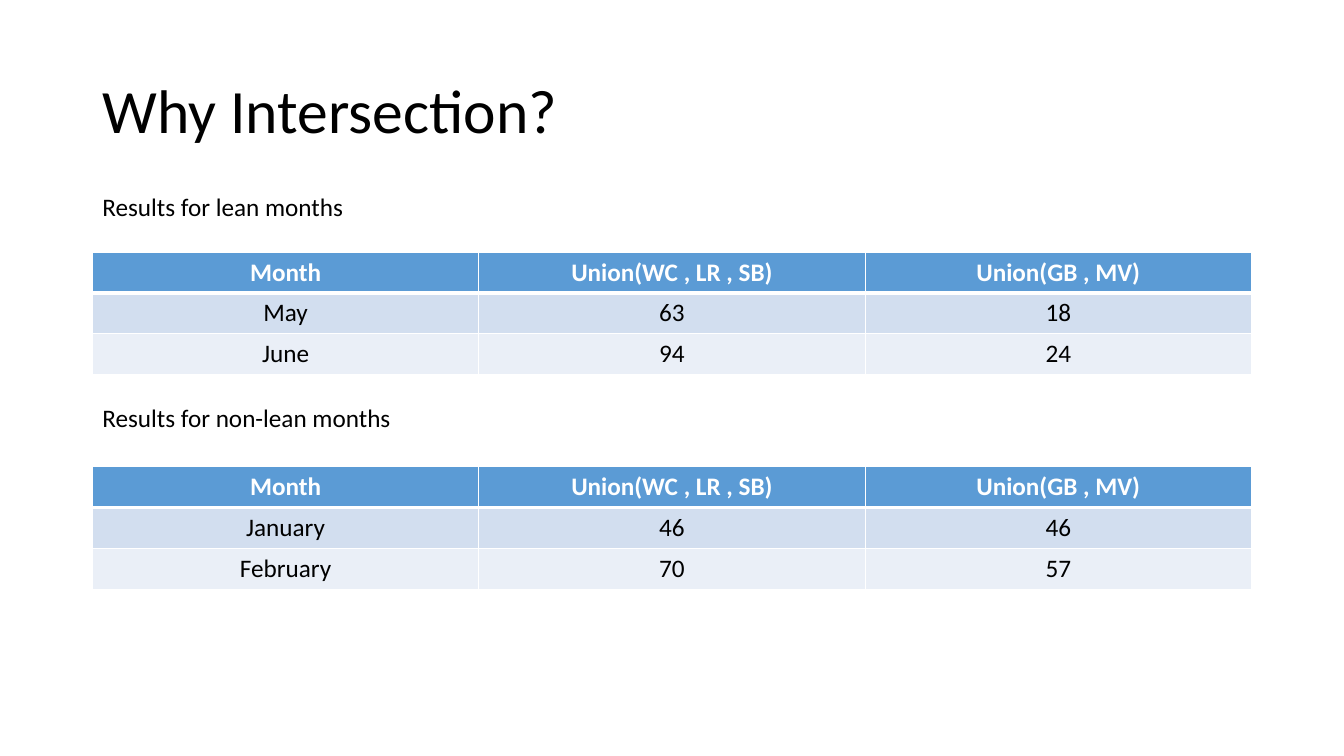
from dataclasses import dataclass

from lxml.etree import SubElement
from pptx import Presentation
from pptx.dml.color import RGBColor
from pptx.enum.text import MSO_ANCHOR, PP_ALIGN
from pptx.oxml.ns import qn
from pptx.util import Cm, Pt

TITLE = "Why Intersection?"
HEADER = ("Month", "Union(WC , LR , SB)", "Union(GB , MV)")
SECTIONS = [
    {"label": "Results for lean months", "label_top": 4.69, "table_top": 6.35,
     "rows": [("May", "63", "18"), ("June", "94", "24")]},
    {"label": "Results for non-lean months", "label_top": 10.01, "table_top": 11.76,
     "rows": [("January", "46", "46"), ("February", "70", "57")]},
]
LEFT, WIDTH, LABEL_WIDTH = 2.33, 29.21, 24.23
ROW_HEIGHT, LABEL_HEIGHT = 1.03, 1.03


@dataclass(frozen=True)
class Theme:
    font: str = "Calibri"
    ink: str = "000000"
    white: str = "FFFFFF"
    header: str = "5B9BD5"
    bands: tuple = ("D2DEEF", "EAEFF7")
    title_size: int = 44
    text_size: int = 18
    thin: int = 1
    thick: int = 3


THEME = Theme()


def write(frame, text, size=THEME.text_size, color=THEME.ink, bold=False,
          align=PP_ALIGN.LEFT, line_spacing=1.0):
    para = frame.paragraphs[0]
    for name, value in {"alignment": align, "line_spacing": line_spacing}.items():
        setattr(para, name, value)
    span = para.add_run()
    span.text = text
    for name, value in {"name": THEME.font, "size": Pt(size), "bold": bold}.items():
        setattr(span.font, name, value)
    span.font.color.rgb = RGBColor.from_string(color)


def add_borders(cell, top, bottom):
    properties = cell._tc.get_or_add_tcPr()
    widths = {"a:lnL": THEME.thin, "a:lnR": THEME.thin, "a:lnT": top, "a:lnB": bottom}
    for tag, width in widths.items():
        line = SubElement(properties, qn(tag), w=str(Pt(width)))
        fill = SubElement(line, qn("a:solidFill"))
        SubElement(fill, qn("a:srgbClr"), val=THEME.white)


def add_title(page):
    title = page.shapes.title
    place = {"left": LEFT, "top": 1.01, "width": WIDTH, "height": 3.68}
    for name, value in place.items():
        setattr(title, name, Cm(value))
    title.text_frame.vertical_anchor = MSO_ANCHOR.MIDDLE
    write(title.text_frame, TITLE, THEME.title_size, line_spacing=0.9)


def add_label(page, text, top):
    box = page.shapes.add_textbox(Cm(LEFT), Cm(top), Cm(LABEL_WIDTH), Cm(LABEL_HEIGHT))
    box.text_frame.word_wrap = True
    write(box.text_frame, text)


def add_results(page, rows, top):
    lines = [HEADER, *rows]
    table = page.shapes.add_table(len(lines), len(HEADER), Cm(LEFT), Cm(top), Cm(WIDTH),
                                  Cm(ROW_HEIGHT * len(lines))).table
    for index, values in enumerate(lines):
        is_header = index == 0
        fill = THEME.header if is_header else THEME.bands[(index - 1) % 2]
        for column, text in enumerate(values):
            cell = table.cell(index, column)
            add_borders(cell, THEME.thick if index == 1 else THEME.thin,
                        THEME.thick if is_header else THEME.thin)
            cell.fill.solid()
            cell.fill.fore_color.rgb = RGBColor.from_string(fill)
            write(cell.text_frame, text, color=THEME.white if is_header else THEME.ink,
                  bold=is_header, align=PP_ALIGN.CENTER)


def main():
    deck = Presentation()
    deck.slide_width, deck.slide_height = Cm(33.87), Cm(19.05)
    page = deck.slides.add_slide(deck.slide_layouts[5])
    add_title(page)
    for section in SECTIONS:
        add_label(page, section["label"], section["label_top"])
        add_results(page, section["rows"], section["table_top"])
    deck.save("out.pptx")


if __name__ == "__main__":
    main()
